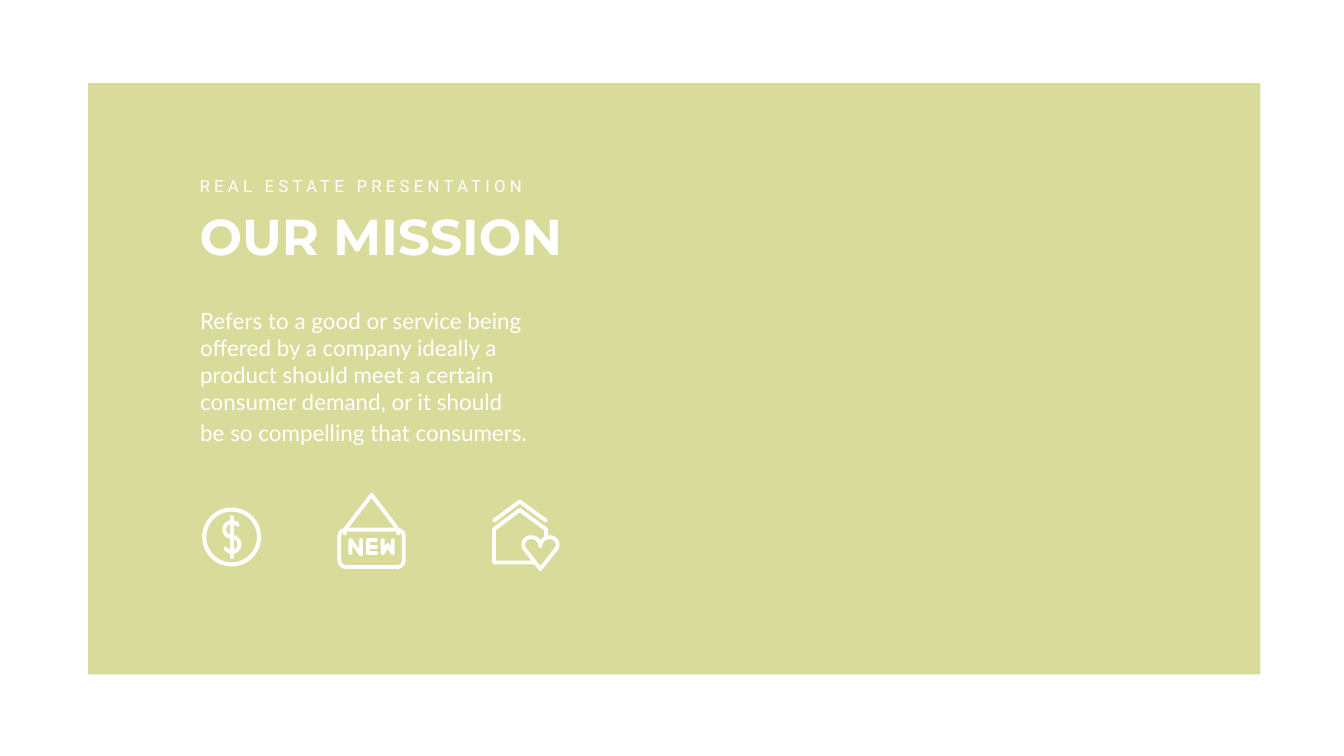
from dataclasses import dataclass

from lxml.etree import SubElement
from pptx import Presentation
from pptx.dml.color import RGBColor
from pptx.enum.shapes import MSO_SHAPE as Preset
from pptx.enum.text import MSO_ANCHOR as Anchor
from pptx.enum.text import MSO_AUTO_SIZE as AutoSize
from pptx.enum.text import PP_ALIGN as Align
from pptx.oxml.ns import qn
from pptx.util import Pt

PX = 9144
CURVE_STEPS = 10
COLORS = {"panel": "D8DB9A", "ink": "FFFFFF", "page": "FFFFFF"}


@dataclass(frozen=True)
class Box:
    left: int
    top: int
    width: int
    height: int

    def emu(self) -> tuple:
        return tuple(v * PX for v in (self.left, self.top, self.width, self.height))


@dataclass(frozen=True)
class TextStyle:
    font: str
    size: int
    bold: bool = False
    tracking: int = 0
    inset_x: int = 10
    inset_y: int = 5


@dataclass(frozen=True)
class Outline:
    """Strokes hold a start point, then lines (x, y) or curves (six numbers)."""
    strokes: tuple
    weight: float = 5.5


DOLLAR = Outline((
    ((460, 1026), (460, 1105)),
    ((472, 1042), (469, 1038, 465, 1036, 460, 1036), (451, 1036, 445, 1042, 445, 1051),
     (445, 1059, 451, 1065, 460, 1065), (468, 1065, 475, 1072, 475, 1080),
     (475, 1089, 468, 1095, 460, 1095), (455, 1095, 450, 1092, 447, 1088)),
))
SIGN_STRING = Outline((((684, 1051), (737, 982), (790, 1051)),))
SIGN_LETTERS = (
    Outline((((695, 1098), (695, 1071), (716, 1100), (716, 1071)),)),
    Outline((((746, 1071), (730, 1071), (730, 1098), (746, 1098)),
             ((730, 1085), (746, 1085)))),
    Outline((((759, 1071), (759, 1098), (769, 1081), (779, 1098), (779, 1071)),)),
)
ROOF = Outline((((980, 1033), (1031, 995), (1083, 1033)),))
HOUSE_AND_HEART = Outline((
    ((1083, 1064), (1083, 1050), (1031, 1012), (980, 1050), (980, 1116), (1061, 1116)),
    ((1072, 1129), (1042, 1091), (1038, 1087, 1037, 1080, 1039, 1075),
     (1042, 1069, 1047, 1066, 1054, 1066), (1064, 1066, 1072, 1074, 1072, 1084),
     (1072, 1074, 1080, 1066, 1090, 1066), (1097, 1066, 1102, 1069, 1105, 1075),
     (1107, 1080, 1106, 1087, 1102, 1091), (1072, 1129)),
))


def color(name: str) -> RGBColor:
    return RGBColor.from_string(COLORS[name])


def trace(stroke: tuple) -> list:
    points = [stroke[0]]
    for step in stroke[1:]:
        if len(step) == 2:
            points.append(step)
            continue
        start, controls = points[-1], (step[:2], step[2:4], step[4:])
        for i in range(1, CURVE_STEPS + 1):
            t = i / CURVE_STEPS
            u = 1 - t
            weights = (u**3, 3 * u * u * t, 3 * u * t * t, t**3)
            points.append(tuple(
                sum(w * p[axis] for w, p in zip(weights, (start, *controls)))
                for axis in (0, 1)))
    return [(round(x * PX), round(y * PX)) for x, y in points]


def ink_line(shape, weight: float) -> None:
    shape.shadow.inherit = False
    shape.fill.background()
    shape.line.color.rgb = color("ink")
    shape.line.width = Pt(weight)
    line = shape.element.spPr.find(qn("a:ln"))
    line.set("cap", "rnd")
    SubElement(line, qn("a:round"))


def draw_outline(shapes, outline: Outline) -> None:
    first, *others = [trace(stroke) for stroke in outline.strokes]
    builder = shapes.build_freeform(*first[0], scale=1.0)
    builder.add_line_segments(first[1:], close=False)
    for points in others:
        builder.move_to(*points[0])
        builder.add_line_segments(points[1:], close=False)
    ink_line(builder.convert_to_shape(), outline.weight)


def draw_filled(shapes, preset: Preset, box: Box, fill: str):
    shape = shapes.add_shape(preset, *box.emu())
    shape.shadow.inherit = False
    shape.fill.solid()
    shape.fill.fore_color.rgb = color(fill)
    shape.line.fill.background()
    return shape


def write(shape, box: Box, text: str, style: TextStyle) -> None:
    shape.left, shape.top, shape.width, shape.height = box.emu()
    frame = shape.text_frame
    frame.word_wrap = True
    frame.auto_size = AutoSize.SHAPE_TO_FIT_TEXT
    frame.vertical_anchor = Anchor.TOP
    frame.margin_left = frame.margin_right = style.inset_x * PX
    frame.margin_top = frame.margin_bottom = style.inset_y * PX
    frame.text = text
    frame.paragraphs[0].space_before = Pt(0)
    for paragraph in frame.paragraphs:
        paragraph.alignment = Align.LEFT
        properties = paragraph._p.get_or_add_pPr()
        properties.set("marL", "0")
        properties.set("indent", "0")
        SubElement(properties, qn("a:buNone"))
        for run in paragraph.runs:
            run.font.name = style.font
            run.font.size = Pt(style.size)
            run.font.bold = style.bold
            run.font.color.rgb = color("ink")
            if style.tracking:
                run._r.get_or_add_rPr().set("spc", str(style.tracking * 100))


def draw_dollar_coin(shapes) -> None:
    ring = draw_filled(shapes, Preset.DONUT, Box(401, 1007, 117, 117), "ink")
    ring.adjustments[0] = 0.07
    draw_outline(shapes, DOLLAR)


def draw_new_sign(shapes) -> None:
    for letter in SIGN_LETTERS:
        draw_outline(shapes, letter)
    board = shapes.add_shape(Preset.ROUNDED_RECTANGLE, *Box(673, 1051, 128, 74).emu())
    board.adjustments[0] = 0.17
    ink_line(board, 5.5)
    draw_outline(shapes, SIGN_STRING)
    for left in (680, 786):
        draw_filled(shapes, Preset.OVAL, Box(left, 1054, 8, 8), "ink")


def draw_loved_house(shapes) -> None:
    draw_outline(shapes, ROOF)
    draw_outline(shapes, HOUSE_AND_HEART)


def main() -> None:
    deck = Presentation()
    deck.slide_width, deck.slide_height = 2666 * PX, 1500 * PX
    slide = deck.slides.add_slide(deck.slide_layouts[1])
    slide.background.fill.solid()
    slide.background.fill.fore_color.rgb = color("page")

    heading, mission = slide.shapes.title, slide.placeholders[1]
    panel = draw_filled(slide.shapes, Preset.RECTANGLE, Box(175, 165, 2325, 1173), "panel")
    heading.element.addprevious(panel.element)

    write(heading, Box(386, 401, 856, 131), "OUR MISSION",
          TextStyle("Montserrat", 72, bold=True))
    write(mission, Box(373, 597, 784, 304),
          "Refers to a good or service being offered by a company ideally a product "
          "should meet a certain consumer demand, or it should\n"
          "be so compelling that consumers.",
          TextStyle("Lato", 32, inset_x=24, inset_y=12))
    eyebrow_box = Box(386, 344, 701, 50)
    write(slide.shapes.add_textbox(*eyebrow_box.emu()), eyebrow_box,
          "REAL ESTATE PRESENTATION", TextStyle("Roboto", 24, tracking=6))

    for draw_icon in (draw_dollar_coin, draw_new_sign, draw_loved_house):
        draw_icon(slide.shapes.add_group_shape().shapes)

    deck.save("out.pptx")


if __name__ == "__main__":
    main()
